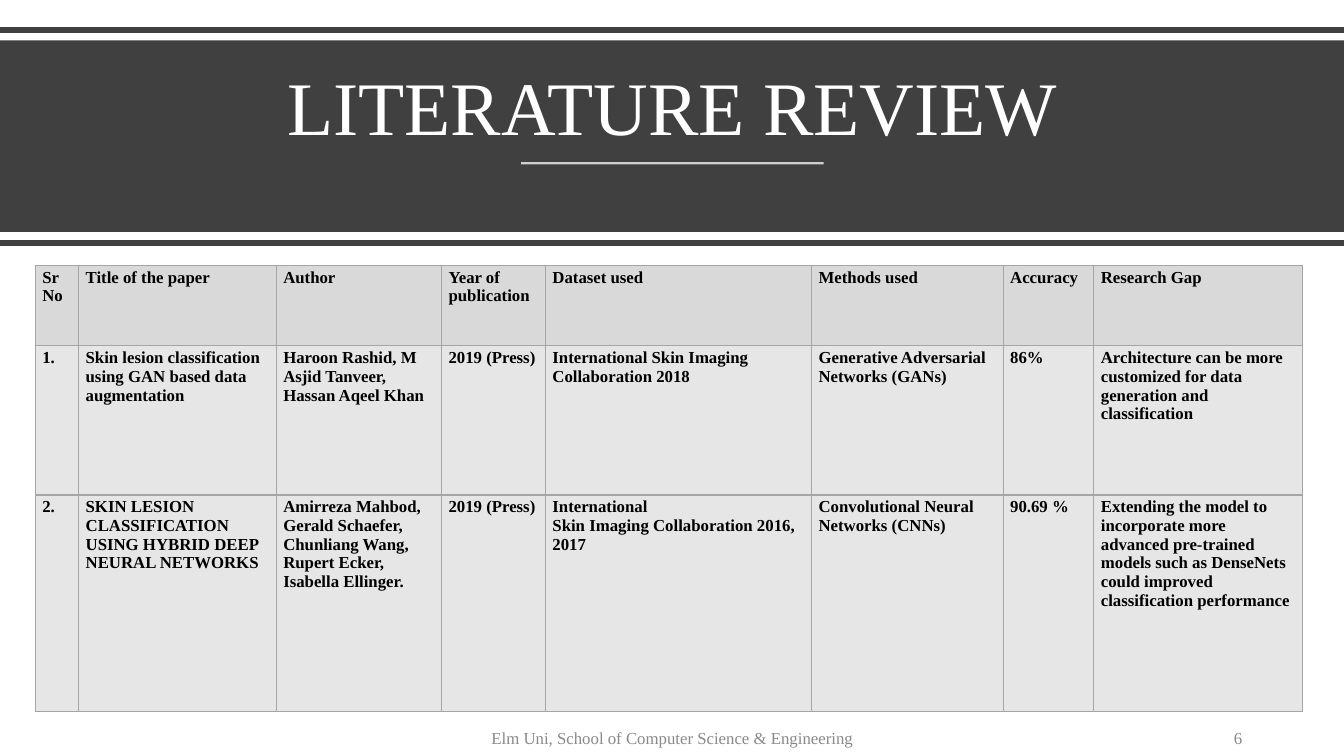
"""Build the literature review slide with its table of papers."""
import pptx
import pptx.util
import pptx.dml.color
import pptx.enum.shapes
import pptx.enum.text
from lxml import etree
from pptx.oxml.ns import qn

Inches, Pt = pptx.util.Inches, pptx.util.Pt
RGB = pptx.dml.color.RGBColor.from_string
ALIGN, ANCHOR = pptx.enum.text.PP_ALIGN, pptx.enum.text.MSO_ANCHOR
FONT = "Times New Roman"
COLORS = {"band": "404040", "white": "FFFFFF", "text": "000000", "footer": "898989",
          "header": "D9D9D9", "body": "E7E6E6", "border": "A5A5A5"}


def style(p, size, color, bold=False, align=None):
    p.font.name, p.font.size, p.font.bold = FONT, Pt(size), bold
    p.font.color.rgb = RGB(COLORS[color])
    p.alignment = align


prs = pptx.Presentation()
prs.slide_width, prs.slide_height = Inches(13.33), Inches(7.5)
s = prs.slides.add_slide(prs.slide_layouts[5])

band = s.shapes.add_shape(pptx.enum.shapes.MSO_SHAPE.RECTANGLE,
                          0, Inches(0.4), prs.slide_width, Inches(1.9))
band.shadow.inherit = False
band.fill.solid()
band.fill.fore_color.rgb = RGB(COLORS["band"])
band.line.fill.background()

title = s.shapes.title
band._element.addnext(title._element)
title.left, title.top, title.width, title.height = map(Inches, (0.58, 0.54, 12.18, 1.02))
tf = title.text_frame
tf.text = "LITERATURE REVIEW"
tf.auto_size = pptx.enum.text.MSO_AUTO_SIZE.NONE
tf.vertical_anchor = ANCHOR.BOTTOM
tf.paragraphs[0].line_spacing = 0.9
style(tf.paragraphs[0], 54, "white", align=ALIGN.CENTER)

rules = [(0, 13.33, 0.3, "band", 4, 100), (5.17, 8.17, 1.62, "white", 1.5, 75),
         (0, 13.33, 2.41, "band", 4, 100)]
for x1, x2, y, color, width, opacity in rules:
    rule = s.shapes.add_connector(pptx.enum.shapes.MSO_CONNECTOR.STRAIGHT,
                                  Inches(x1), Inches(y), Inches(x2), Inches(y))
    rule.line.color.rgb = RGB(COLORS[color])
    rule.line.width = Pt(width)
    spPr = rule._element.spPr
    etree.SubElement(spPr, qn("a:effectLst"))
    if opacity < 100:
        clr = spPr.find(".//" + qn("a:srgbClr"))
        etree.SubElement(clr, qn("a:alpha"), val=str(opacity * 1000))

footers = [(4.42, 4.5, "Elm Uni, School of Computer Science & Engineering", ALIGN.CENTER),
           (9.42, 3, "6", ALIGN.RIGHT)]
for x, w, text, align in footers:
    tf = s.shapes.add_textbox(Inches(x), Inches(7.13), Inches(w), Inches(0.38)).text_frame
    tf.word_wrap = True
    tf.vertical_anchor = ANCHOR.MIDDLE
    p = tf.paragraphs[0]
    p.text = text
    p.space_after = Pt(6)
    style(p, 12, "footer", align=align)

rows = [
    ["Sr\nNo", "Title of the paper", "Author", "Year of publication", "Dataset used",
     "Methods used", "Accuracy", "Research Gap"],
    ["1.", "Skin lesion classification using GAN based data augmentation",
     "Haroon Rashid, M Asjid Tanveer, Hassan Aqeel Khan", "2019 (Press)",
     "International Skin Imaging Collaboration 2018",
     "Generative Adversarial Networks (GANs)", "86%",
     "Architecture can be more customized for data generation and classification"],
    ["2.", "SKIN LESION CLASSIFICATION USING HYBRID DEEP NEURAL NETWORKS",
     "Amirreza Mahbod,\nGerald Schaefer,\nChunliang Wang,\nRupert Ecker,\nIsabella Ellinger.",
     "2019 (Press)", "International\nSkin Imaging Collaboration 2016, 2017",
     "Convolutional Neural Networks (CNNs)", "90.69 %",
     "Extending the model to incorporate more advanced pre-trained models such as "
     "DenseNets could improved classification performance"],
]
col_widths = [0.43, 1.96, 1.64, 1.03, 2.64, 1.9, 0.9, 2.07]
row_heights = [0.8, 1.48, 2.15]
table = s.shapes.add_table(len(rows), len(col_widths), Inches(0.35), Inches(2.63),
                           Inches(sum(col_widths)), Inches(sum(row_heights))).table
for col, w in zip(table.columns, col_widths):
    col.width = Inches(w)
for row, h in zip(table.rows, row_heights):
    row.height = Inches(h)

for i, texts in enumerate(rows):
    for j, text in enumerate(texts):
        cell = table.cell(i, j)
        cell.text = text
        cell.margin_left, cell.margin_right = Inches(0.07), Inches(0.06)
        cell.margin_top = cell.margin_bottom = Inches(0.03)
        for p in cell.text_frame.paragraphs:
            style(p, 12, "text", bold=True)
        tcPr = cell._tc.get_or_add_tcPr()
        for side in ("a:lnL", "a:lnR", "a:lnT", "a:lnB"):
            ln = etree.SubElement(tcPr, qn(side), w=str(Pt(1)))
            fill = etree.SubElement(ln, qn("a:solidFill"))
            etree.SubElement(fill, qn("a:srgbClr"), val=COLORS["border"])
        cell.fill.solid()
        cell.fill.fore_color.rgb = RGB(COLORS["body" if i else "header"])

prs.save("out.pptx")
